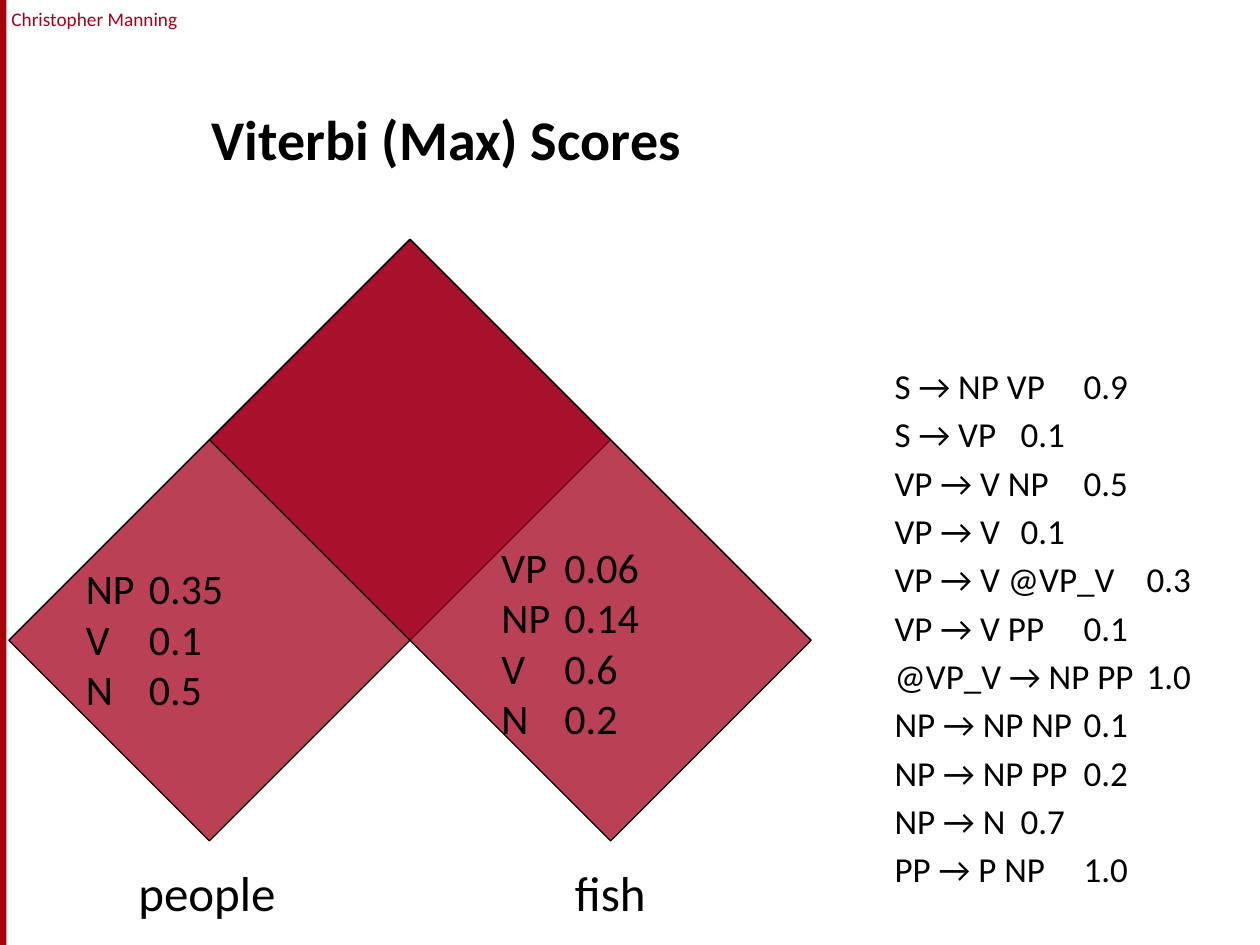
from lxml.etree import SubElement
from pptx import Presentation
from pptx.dml.color import RGBColor
from pptx.enum.shapes import MSO_SHAPE
from pptx.enum.text import MSO_ANCHOR, MSO_AUTO_SIZE, PP_ALIGN
from pptx.oxml.ns import qn
from pptx.util import Cm, Pt

BLACK = RGBColor(0x00, 0x00, 0x00)
CARDINAL = RGBColor(0xA4, 0x00, 0x1D)
BAR_RED = RGBColor(0xA4, 0x05, 0x08)

RULES = [
    ("S → NP VP", "0.9"),
    ("S → VP", "0.1"),
    ("VP → V NP", "0.5"),
    ("VP → V", "0.1"),
    ("VP → V @VP_V", "0.3"),
    ("VP → V PP", "0.1"),
    ("@VP_V → NP PP", "1.0"),
    ("NP → NP NP", "0.1"),
    ("NP → NP PP", "0.2"),
    ("NP → N", "0.7"),
    ("PP → P NP", "1.0"),
]
PEOPLE_SCORES = [("NP", "0.35"), ("V", "0.1"), ("N", "0.5")]
FISH_SCORES = [("VP", "0.06"), ("NP", "0.14"), ("V", "0.6"), ("N", "0.2")]


def place(shape, left, top, width, height):
    shape.left, shape.top = Cm(left), Cm(top)
    shape.width, shape.height = Cm(width), Cm(height)


def write_lines(frame, lines, size, color=BLACK, tab=None, gap=0):
    frame.word_wrap = True
    frame.auto_size = MSO_AUTO_SIZE.NONE
    for index, line in enumerate(lines):
        paragraph = frame.paragraphs[0] if index == 0 else frame.add_paragraph()
        paragraph.text = line
        properties = paragraph._p.get_or_add_pPr()
        properties.set("marL", "0")
        properties.set("indent", "0")
        SubElement(properties, qn("a:buNone"))
        if tab:
            tabs = SubElement(properties, qn("a:tabLst"))
            SubElement(tabs, qn("a:tab"), pos=str(Cm(tab)), algn="l")
        paragraph.alignment = PP_ALIGN.LEFT
        paragraph.space_before = Pt(gap if index else 0)
        paragraph.font.name = "Calibri"
        paragraph.font.size = Pt(size)
        paragraph.font.color.rgb = color


def add_text(slide, box, lines, size, **options):
    frame = slide.shapes.add_textbox(*map(Cm, box)).text_frame
    write_lines(frame, lines, size, **options)
    return frame


def add_rectangle(slide, box, color):
    shape = slide.shapes.add_shape(MSO_SHAPE.RECTANGLE, *map(Cm, box))
    shape.shadow.inherit = False
    shape.fill.solid()
    shape.fill.fore_color.rgb = color
    return shape


def add_margin(slide, left, top, height):
    bar = add_rectangle(slide, (left, top, 0.13, height), BAR_RED)
    bar.line.fill.background()
    frame = add_text(slide, (left + 0.1, top + 0.03, 3.61, 0.74),
                     ["Christopher Manning"], 11, color=CARDINAL)
    frame.margin_left = frame.margin_right = 0
    frame.paragraphs[0].alignment = PP_ALIGN.CENTER


def add_title(slide, box):
    title = slide.shapes.title
    place(title, *box)
    write_lines(title.text_frame, ["Viterbi (Max) Scores"], 32)
    title.text_frame.vertical_anchor = MSO_ANCHOR.BOTTOM
    title.text_frame.paragraphs[0].font.bold = True


def add_band(slide, center_x, center_y, width, height):
    box = (center_x - width / 2, center_y - height / 2, width, height)
    band = add_rectangle(slide, box, CARDINAL)
    band.rotation = 45
    band.line.color.rgb = BLACK
    band.line.width = Pt(0.75)
    color = band.fill._xPr.find(qn("a:solidFill"))[0]
    SubElement(color, qn("a:alpha"), val="75000")


def add_scores(slide, left, top, scores):
    lines = ["\t".join(score) for score in scores]
    add_text(slide, (left, top, 5, 0.25 + 1.03 * len(lines)), lines, 24, tab=2.54)


def add_chart_cells(slide, left, top):
    short, long = 5.72, 11.43
    add_band(slide, left + 6.08, top + 5.72, short, long)
    add_band(slide, left + 10.13, top + 5.72, long, short)
    add_scores(slide, left + 1.32, top + 6.05, PEOPLE_SCORES)
    add_scores(slide, left + 9.7, top + 5.62, FISH_SCORES)
    for offset, word in ((2.38, "people"), (11.18, "fish")):
        add_text(slide, (left + offset, top + 12.1, 4, 1.45), [word], 28)


def add_grammar(slide, box):
    body = slide.placeholders[1]
    place(body, *box)
    lines = ["\t".join(rule) for rule in RULES]
    write_lines(body.text_frame, lines, 20, tab=5.08, gap=3.6)
    body.text_frame.vertical_anchor = MSO_ANCHOR.TOP


def main():
    presentation = Presentation()
    presentation.slide_width, presentation.slide_height = Cm(25.4), Cm(19.05)
    slide = presentation.slides.add_slide(presentation.slide_layouts[1])
    add_margin(slide, 0, 0, 19.05)
    add_title(slide, (4.01, 0.84, 20.52, 2.74))
    add_chart_cells(slide, 0.16, 5.17)
    add_grammar(slide, (17.78, 7.22, 6.78, 11.43))
    presentation.save("out.pptx")


if __name__ == "__main__":
    main()
